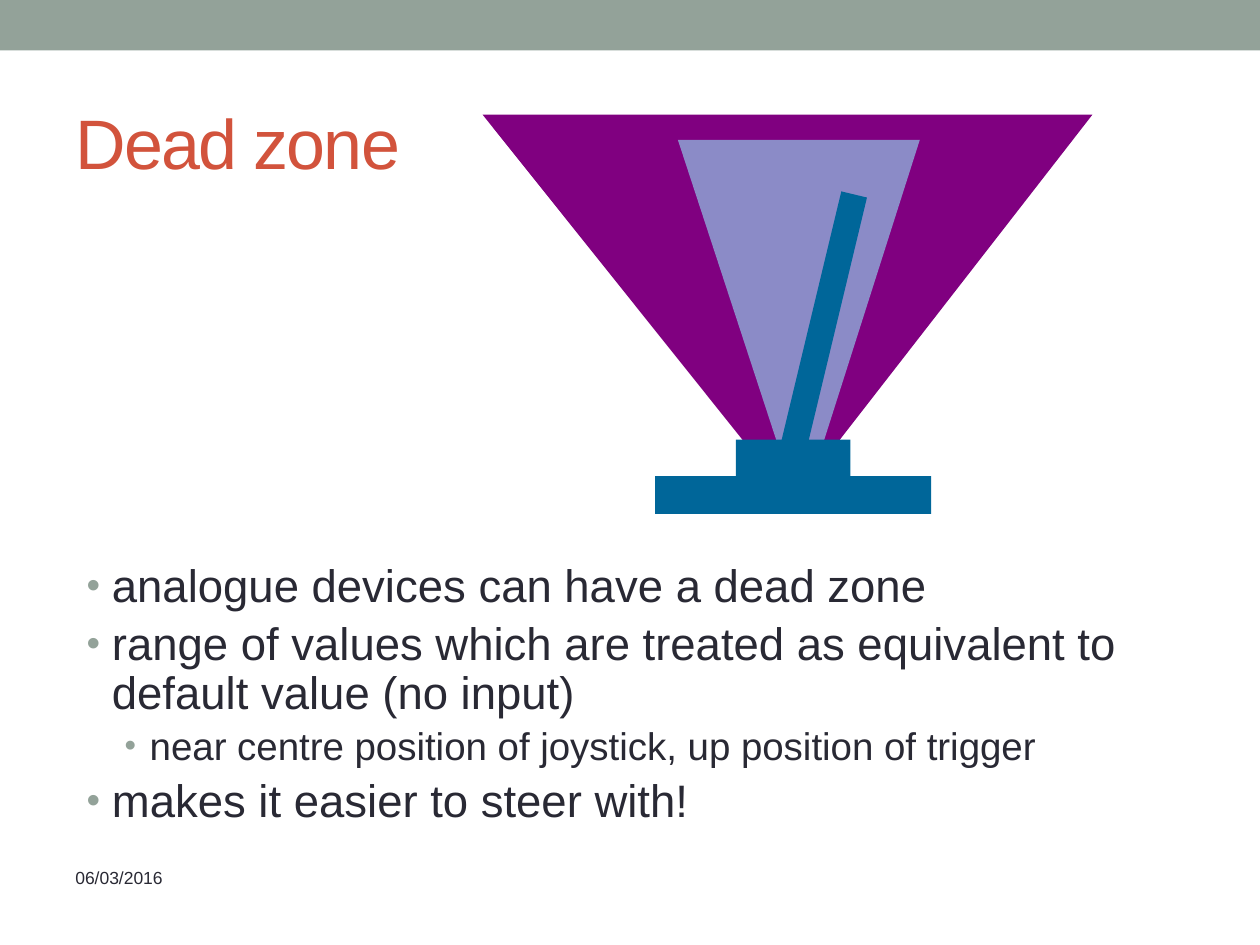
"""Build the slide explaining the dead zone of a joystick."""
from dataclasses import dataclass

from lxml import etree
from pptx import Presentation
from pptx.dml.color import RGBColor
from pptx.enum.shapes import MSO_SHAPE
from pptx.enum.text import MSO_ANCHOR, MSO_AUTO_SIZE, PP_ALIGN
from pptx.oxml.ns import qn
from pptx.util import Inches, Pt

RECT, TRIANGLE = MSO_SHAPE.RECTANGLE, MSO_SHAPE.ISOSCELES_TRIANGLE
TOP, MIDDLE = MSO_ANCHOR.TOP, MSO_ANCHOR.MIDDLE
LEFT, NO_FIT = PP_ALIGN.LEFT, MSO_AUTO_SIZE.NONE

SAGE = RGBColor(0x93, 0xA2, 0x99)
RED = RGBColor(0xD2, 0x53, 0x3C)
INK = RGBColor(0x29, 0x29, 0x34)
PURPLE = RGBColor(0x80, 0x00, 0x80)
LILAC = RGBColor(0x8B, 0x8B, 0xC7)
BLUE = RGBColor(0x00, 0x66, 0x99)

FONT = "Arial"
TRIANGLE_PEAK = 0.493
HANGING = 0.2


@dataclass(frozen=True)
class Part:
    kind: MSO_SHAPE
    box: tuple[float, float, float, float]
    color: RGBColor
    rotation: float = 0


@dataclass(frozen=True)
class Bullet:
    text: str
    level: int = 0


BANNER = Part(RECT, (0, 0, 10, 0.4), SAGE)
FULL_RANGE = Part(TRIANGLE, (3.83, 0.91, 4.84, 3.07), PURPLE, 180)
DEAD_ZONE = Part(TRIANGLE, (5.38, 1.11, 1.92, 2.97), LILAC, 180)
BASE = Part(RECT, (5.2, 3.78, 2.19, 0.3), BLUE)
SOCKET = Part(RECT, (5.84, 3.49, 0.91, 0.3), BLUE)
STICK = Part(RECT, (5.28, 2.62, 2.43, 0.21), BLUE, 103.5)

BULLETS = [
    Bullet("analogue devices can have a dead zone"),
    Bullet("range of values which are treated as equivalent to default value (no input)"),
    Bullet("near centre position of joystick, up position of trigger", 1),
    Bullet("makes it easier to steer with!"),
]
LEVEL_SIZES = (26, 22)
LEVEL_INDENTS = (0.2, 0.5)


def add_part(shapes, part: Part) -> None:
    sp = shapes.add_shape(part.kind, *map(Inches, part.box))
    sp.rotation = part.rotation
    sp.shadow.inherit = False
    sp.fill.solid()
    sp.fill.fore_color.rgb = part.color
    sp.line.fill.background()
    if part.kind == TRIANGLE:
        sp.adjustments[0] = TRIANGLE_PEAK


def format_frame(tf, anchor: MSO_ANCHOR) -> None:
    settings = {"word_wrap": True, "auto_size": NO_FIT, "vertical_anchor": anchor}
    for key, value in settings.items():
        setattr(tf, key, value)


def add_text(p, text: str, size: float, color: RGBColor):
    p.alignment = LEFT
    r = p.add_run()
    r.text = text
    for key, value in {"name": FONT, "size": Pt(size), "bold": False}.items():
        setattr(r.font, key, value)
    r.font.color.rgb = color
    return r


def add_bullet(p, bullet: Bullet) -> None:
    size = LEVEL_SIZES[bullet.level]
    settings = {"level": bullet.level, "line_spacing": 0.9, "space_before": Pt(0.2 * size)}
    for key, value in settings.items():
        setattr(p, key, value)
    pPr = p._p.get_or_add_pPr()
    pPr.set("marL", str(Inches(LEVEL_INDENTS[bullet.level])))
    pPr.set("indent", str(Inches(-HANGING)))
    color = etree.SubElement(pPr, qn("a:buClr"))
    etree.SubElement(color, qn("a:srgbClr"), val=str(SAGE))
    etree.SubElement(pPr, qn("a:buSzPct"), val="85000")
    etree.SubElement(pPr, qn("a:buFont"), typeface=FONT)
    etree.SubElement(pPr, qn("a:buChar"), char="•")
    add_text(p, bullet.text, size, INK)


def add_box(shapes, box: tuple[float, float, float, float]):
    tf = shapes.add_textbox(*map(Inches, box)).text_frame
    format_frame(tf, TOP)
    return tf


def main() -> None:
    prs = Presentation()
    prs.slide_width, prs.slide_height = Inches(10), Inches(7.5)
    shapes = prs.slides.add_slide(prs.slide_layouts[5]).shapes

    title = shapes.title
    title.left, title.top, title.width, title.height = map(Inches, (0.5, 0.58, 9, 1.08))
    format_frame(title.text_frame, MIDDLE)
    r = add_text(title.text_frame.paragraphs[0], "Dead zone", 40, RED)
    r._r.get_or_add_rPr().set("spc", "-100")

    tf = add_box(shapes, (0.5, 6.83, 2.33, 0.5))
    add_text(tf.paragraphs[0], "06/03/2016", 10, INK)

    tf = add_box(shapes, (0.59, 4.42, 9, 2.33))
    for i, bullet in enumerate(BULLETS):
        add_bullet(tf.add_paragraph() if i else tf.paragraphs[0], bullet)

    for part in (BANNER, FULL_RANGE, DEAD_ZONE, BASE, SOCKET, STICK):
        add_part(shapes, part)

    prs.save("out.pptx")


if __name__ == "__main__":
    main()
